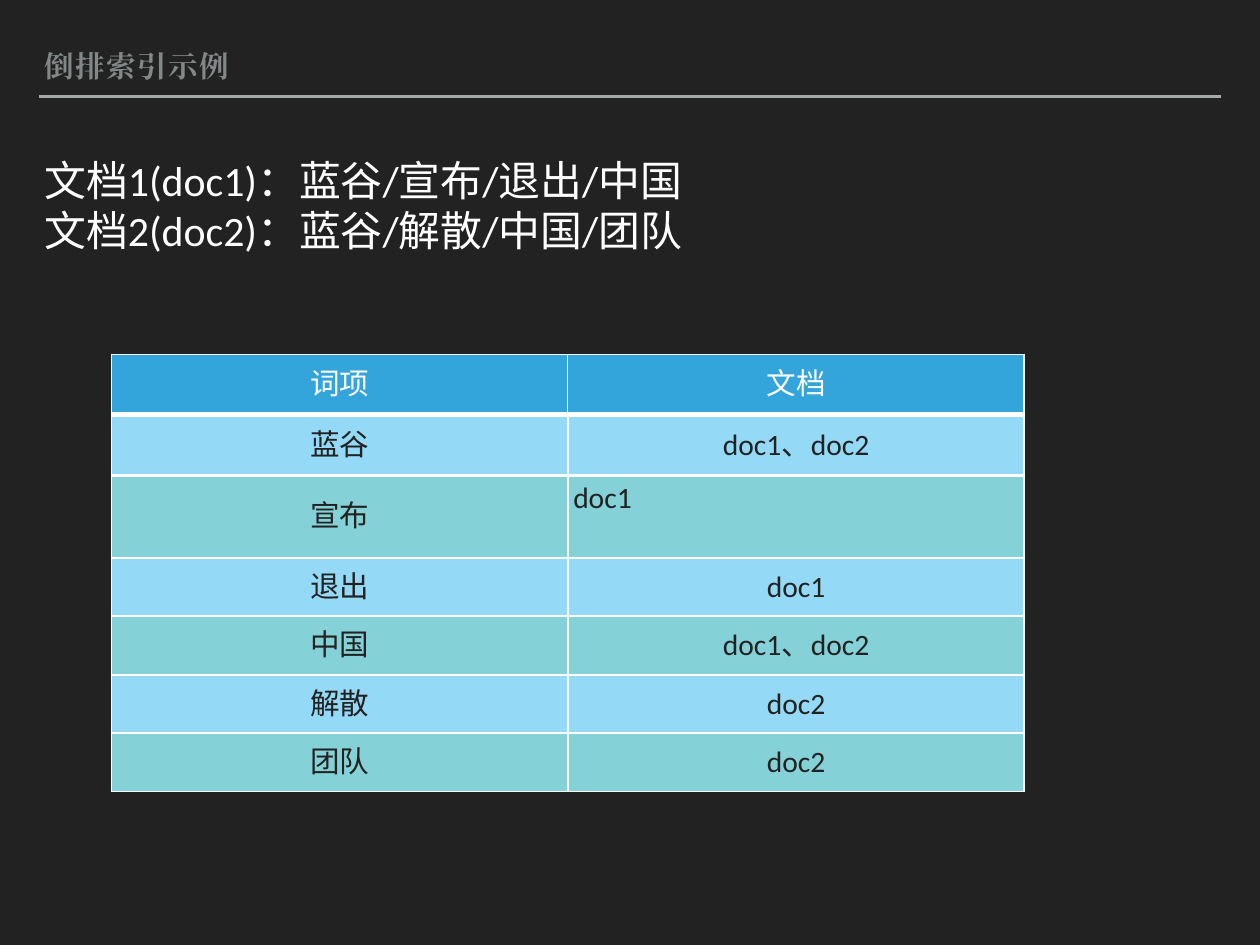
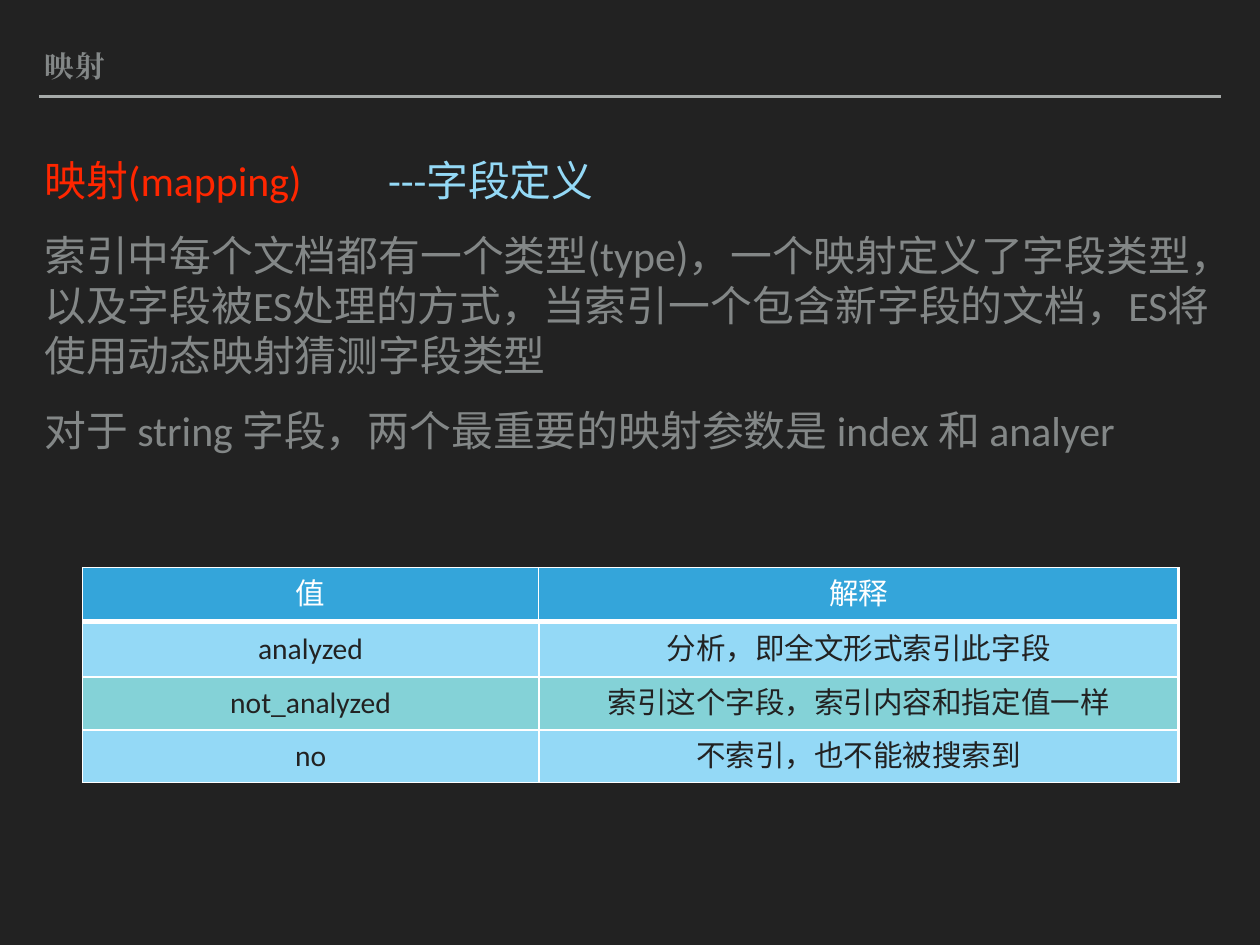
"""Build two dark slides on inverted indexes and field mappings."""
from pptx import Presentation
from pptx.dml.color import RGBColor
from pptx.enum.shapes import MSO_CONNECTOR
from pptx.enum.text import MSO_ANCHOR, PP_ALIGN
from pptx.oxml.ns import qn
from pptx.util import Inches, Pt
from lxml.etree import SubElement

WIDTH, HEIGHT = 14.22, 10.67
MARGIN, INSET = 0.44, 0.06
TAB_STOP = 3.88
COLORS = {
    "background": "222222", "rule": "A6AAA9", "muted": "838787",
    "white": "FFFFFF", "red": "FF2600", "header": "34A5DA",
    "sky": "94D9F6", "teal": "84D2D7",
}
TITLE_FONT = {"name": "Times New Roman", "size": Pt(24), "bold": True}
BODY_FONT = {"name": "Calibri", "size": Pt(34), "bold": False}
CELL_FONT = {"name": "Calibri", "size": Pt(24), "bold": False}
MARGINS = {f"margin_{side}": Inches(INSET) for side in ("left", "top", "right", "bottom")}

SLIDES = [
    {
        "title": "倒排索引示例",
        "body_height": 8.46,
        "paragraph_gap": 0,
        "body": [
            [("文档1(doc1)：蓝谷/宣布/退出/中国", "white")],
            [("文档2(doc2)：蓝谷/解散/中国/团队", "white")],
        ],
        "table": {
            "position": (1.26, 4),
            "columns": (5.15, 5.15),
            "heights": (0.68, 0.69, 0.93, 0.66, 0.66, 0.66, 0.66),
            "rows": [
                ("词项", "文档"), ("蓝谷", "doc1、doc2"), ("宣布", "doc1"),
                ("退出", "doc1"), ("中国", "doc1、doc2"), ("解散", "doc2"),
                ("团队", "doc2"),
            ],
            "top_left_cells": {(2, 1)},
        },
    },
    {
        "title": "映射",
        "body_height": 8.77,
        "paragraph_gap": 20,
        "body": [
            [("映射(mapping)\t", "red"), ("---字段定义", "sky")],
            [("索引中每个文档都有一个类型(type)，一个映射定义了字段类型，以及字段被ES处理的方式，"
              "当索引一个包含新字段的文档，ES将使用动态映射猜测字段类型", "muted")],
            [("对于 string 字段，两个最重要的映射参数是 index 和 analyer", "muted")],
        ],
        "table": {
            "position": (0.93, 6.41),
            "columns": (5.15, 7.22),
            "heights": (0.61, 0.62, 0.6, 0.6),
            "rows": [
                ("值", "解释"), ("analyzed", "分析，即全文形式索引此字段"),
                ("not_analyzed", "索引这个字段，索引内容和指定值一样"),
                ("no", "不索引，也不能被搜索到"),
            ],
            "top_left_cells": set(),
        },
    },
]


def rgb(name):
    """Return the named colour."""
    return RGBColor.from_string(COLORS[name])


def apply(target, values):
    """Set every attribute in values on target."""
    for name, value in values.items():
        setattr(target, name, value)


def add_run(paragraph, text, font, color):
    """Append a formatted run for Latin and East Asian text."""
    run = paragraph.add_run()
    run.text = text
    apply(run.font, font)
    run.font.color.rgb = rgb(color)
    properties = run._r.get_or_add_rPr()
    SubElement(properties, qn("a:ea"), typeface=font["name"])
    return properties


def add_heading(slide, text):
    """Place the title and the rule beneath it."""
    title = slide.shapes.title
    apply(title, {"left": Inches(MARGIN), "top": Inches(0.43),
                  "width": Inches(12.22), "height": Inches(0.57)})
    frame = title.text_frame
    apply(frame, {**MARGINS, "vertical_anchor": MSO_ANCHOR.BOTTOM, "word_wrap": True})
    paragraph = frame.paragraphs[0]
    apply(paragraph, {"alignment": PP_ALIGN.LEFT, "line_spacing": 0.8})
    add_run(paragraph, text, TITLE_FONT, "muted").set("spc", "120")

    rule = slide.shapes.add_connector(
        MSO_CONNECTOR.STRAIGHT, Inches(MARGIN), Inches(1.09),
        Inches(WIDTH - MARGIN), Inches(1.09))
    rule.line.color.rgb = rgb("rule")
    rule.line.width = Pt(2)
    SubElement(rule._element.spPr, qn("a:effectLst"))


def add_body(slide, paragraphs, height, gap):
    """Write the body paragraphs in one text box."""
    box = slide.shapes.add_textbox(
        Inches(MARGIN), Inches(1.69), Inches(WIDTH - 2 * MARGIN), Inches(height))
    frame = box.text_frame
    apply(frame, {**MARGINS, "word_wrap": True})
    for index, runs in enumerate(paragraphs):
        paragraph = frame.add_paragraph() if index else frame.paragraphs[0]
        if any("\t" in text for text, _ in runs):
            tabs = SubElement(paragraph._p.get_or_add_pPr(), qn("a:tabLst"))
            SubElement(tabs, qn("a:tab"), pos=str(Inches(TAB_STOP)), algn="l")
        paragraph.space_before = Pt(gap if index else 0)
        for text, color in runs:
            add_run(paragraph, text, BODY_FONT, color)


def set_borders(cell, row, column, last_row):
    """Draw white borders, thin outside and thick below the header."""
    widths = {
        "L": 1 if row == 0 or column == 0 else 2,
        "R": 1 if row == 0 and column == 0 else 2,
        "T": {0: 1, 1: 5}.get(row, 2),
        "B": {0: 5, last_row: 1}.get(row, 2),
    }
    properties = cell._tc.get_or_add_tcPr()
    for side, width in widths.items():
        line = SubElement(properties, qn(f"a:ln{side}"), w=str(Pt(width)))
        fill = SubElement(line, qn("a:solidFill"))
        SubElement(fill, qn("a:srgbClr"), val=COLORS["white"])


def add_grid(slide, position, columns, heights, rows, top_left_cells):
    """Add a table with a header and alternating row fills."""
    left, top = position
    table = slide.shapes.add_table(
        len(rows), len(columns), Inches(left), Inches(top),
        Inches(sum(columns)), Inches(sum(heights))).table
    table.horz_banding = False
    for column, width in zip(table.columns, columns):
        column.width = Inches(width)
    for row_index, (height, texts) in enumerate(zip(heights, rows)):
        table.rows[row_index].height = Inches(height)
        fill = ("sky" if row_index % 2 else "teal") if row_index else "header"
        for column_index, text in enumerate(texts):
            cell = table.cell(row_index, column_index)
            at_top_left = (row_index, column_index) in top_left_cells
            anchor = MSO_ANCHOR.TOP if at_top_left else MSO_ANCHOR.MIDDLE
            apply(cell, {**MARGINS, "vertical_anchor": anchor})
            set_borders(cell, row_index, column_index, len(rows) - 1)
            cell.fill.solid()
            cell.fill.fore_color.rgb = rgb(fill)
            paragraph = cell.text_frame.paragraphs[0]
            paragraph.alignment = PP_ALIGN.LEFT if at_top_left else PP_ALIGN.CENTER
            add_run(paragraph, text, CELL_FONT, "background" if row_index else "white")


def main():
    """Build and save the presentation."""
    presentation = Presentation()
    apply(presentation, {"slide_width": Inches(WIDTH), "slide_height": Inches(HEIGHT)})
    background = presentation.slide_master.background.fill
    background.solid()
    background.fore_color.rgb = rgb("background")
    for content in SLIDES:
        slide = presentation.slides.add_slide(presentation.slide_layouts[5])
        add_heading(slide, content["title"])
        add_body(slide, content["body"], content["body_height"], content["paragraph_gap"])
        add_grid(slide, **content["table"])
    presentation.save("out.pptx")


if __name__ == "__main__":
    main()
